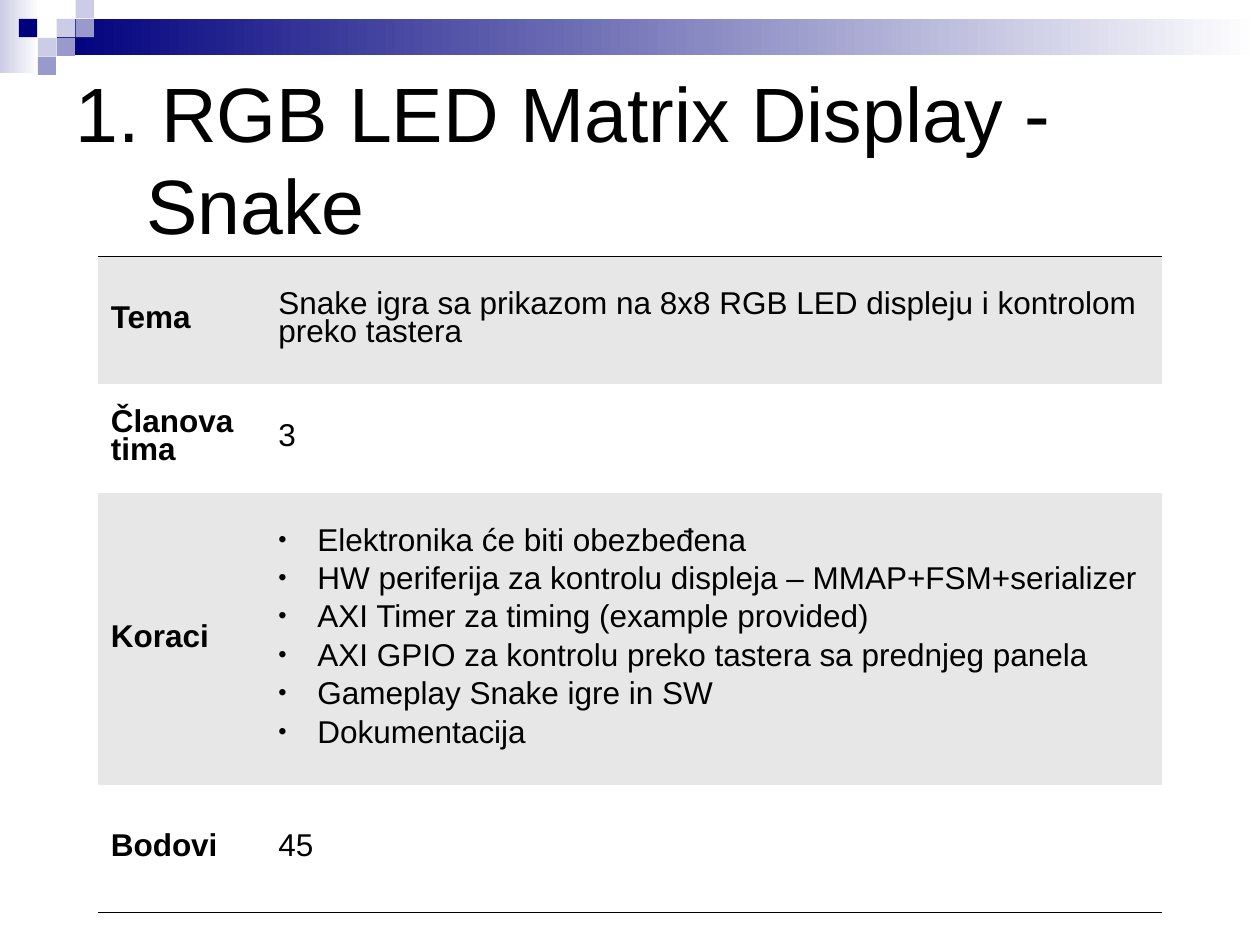
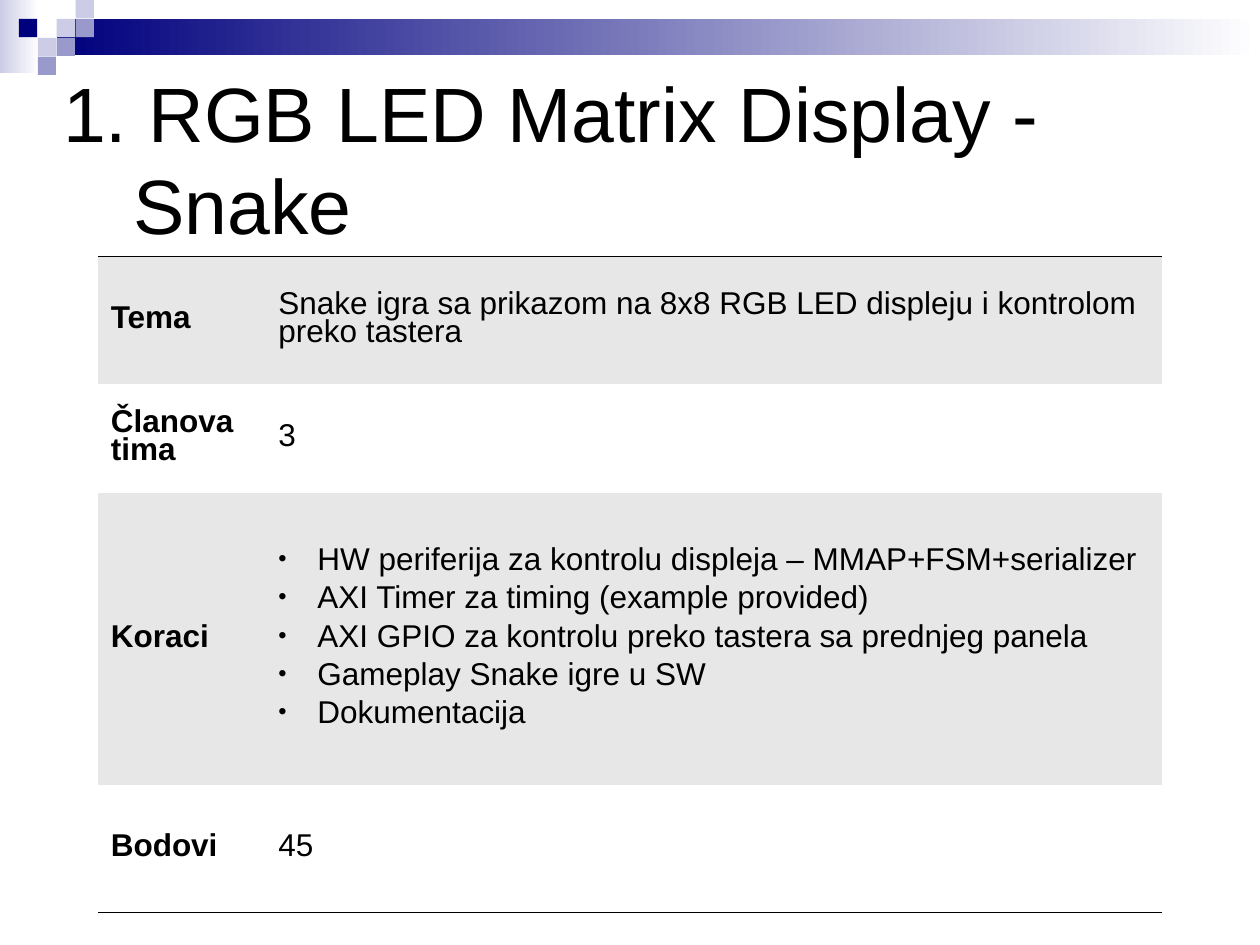
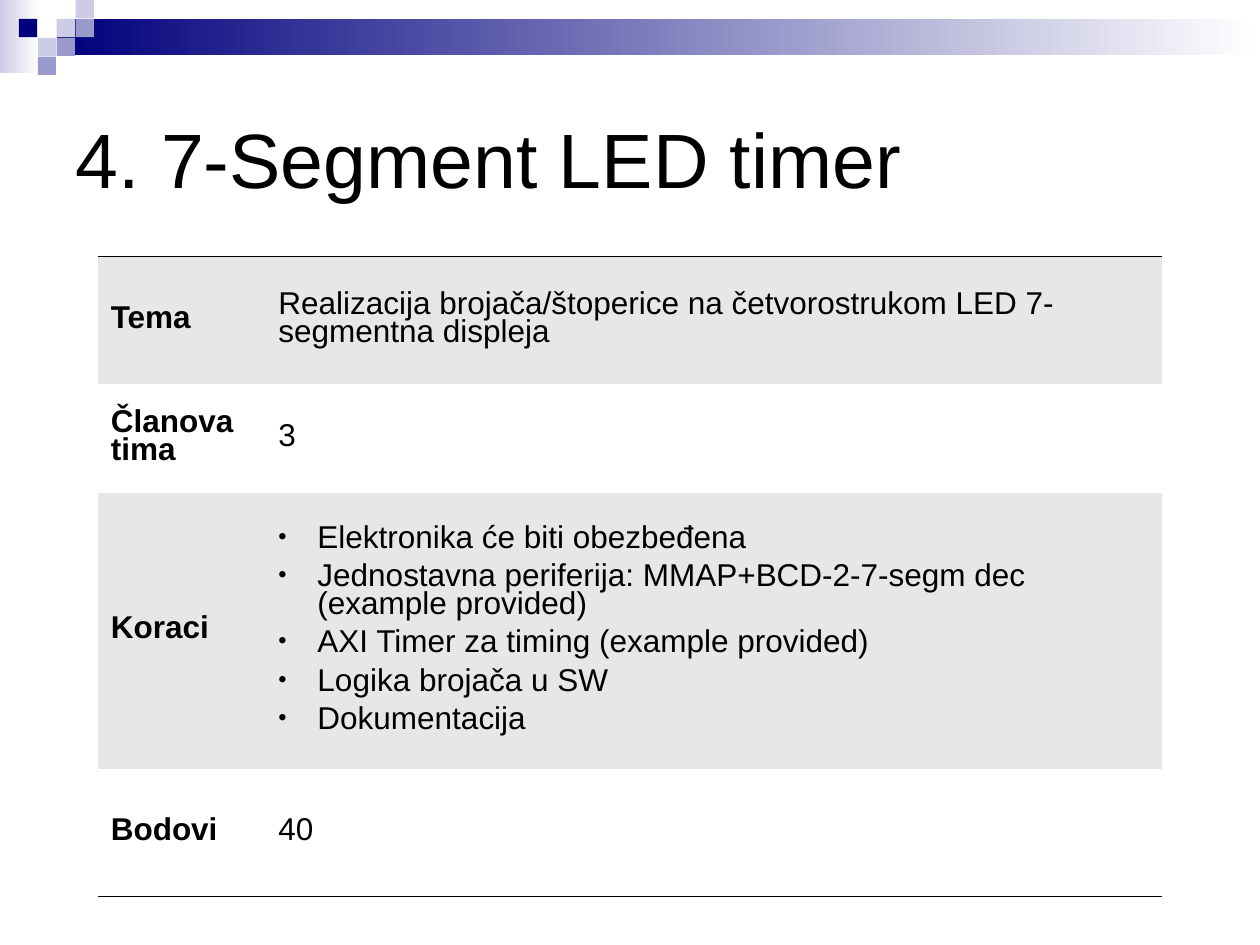
from lxml import etree
from pptx import Presentation
from pptx.dml.color import RGBColor
from pptx.enum.shapes import MSO_SHAPE as Shape
from pptx.enum.text import MSO_ANCHOR as Anchor, MSO_AUTO_SIZE as AutoSize, PP_ALIGN as Align
from pptx.oxml.ns import qn
from pptx.util import Inches, Pt

FONT = "Arial"
BLACK, WHITE, GREY = "000000", "FFFFFF", "E7E7E7"
NAVY, LILAC, LAVENDER = "00007D", "9999CC", "CCCCE6"
NO_STYLE = "{2D5ABB26-0587-4C30-8999-92F81FD0307C}"
HAIRLINE = Pt(0.06)
BARS = [(0, 0, 0.31, 0.58, LAVENDER), (0.45, 0.15, 9.54, 0.29, NAVY)]
SQUARE_STEP, SQUARE_SIDE = 0.15, 0.145
SQUARES = [(3, 1, LAVENDER), (4, 0, LAVENDER), (4, 1, LILAC), (2, 2, LAVENDER),
           (1, 1, NAVY), (3, 2, LILAC), (2, 3, LILAC)]
LABELS = ["Tema", "Članova tima", "Koraci", "Bodovi"]
COLUMN_WIDTHS = [1.33, 7.11]

SNAKE_TITLE = "1. RGB LED Matrix Display - Snake"
SNAKE_TOPIC = "Snake igra sa prikazom na 8x8 RGB LED displeju i kontrolom preko tastera"
ELECTRONICS = "Elektronika će biti obezbeđena"
MATRIX_DRIVER = "HW periferija za kontrolu displeja – MMAP+FSM+serializer"
AXI_TIMER = "AXI Timer za timing (example provided)"
AXI_GPIO = "AXI GPIO za kontrolu preko tastera sa prednjeg panela"
DOCUMENTATION = "Dokumentacija"

PROJECTS = [
    (SNAKE_TITLE, 0.5, SNAKE_TOPIC,
     [ELECTRONICS, MATRIX_DRIVER, AXI_TIMER, AXI_GPIO, "Gameplay Snake igre in SW",
      DOCUMENTATION], "45", 2.32),
    (SNAKE_TITLE, 0.4, SNAKE_TOPIC,
     [MATRIX_DRIVER, AXI_TIMER, AXI_GPIO, "Gameplay Snake igre u SW", DOCUMENTATION],
     "45", 2.32),
    ("4. 7-Segment LED timer", 0.5,
     "Realizacija brojača/štoperice na četvorostrukom LED 7-segmentna displeja",
     [ELECTRONICS, "Jednostavna periferija: MMAP+BCD-2-7-segm dec (example provided)",
      AXI_TIMER, "Logika brojača u SW", DOCUMENTATION], "40", 2.19),
]


def color(hex_code):
    return RGBColor.from_string(hex_code)


def child(parent, tag, **attributes):
    return etree.SubElement(parent, qn(tag), attributes)


class ProjectDeck:
    """Holds the deck style and the slide being built."""

    def __init__(self):
        self.deck = Presentation()
        self.deck.slide_width, self.deck.slide_height = Inches(10), Inches(7.5)
        self.layout = self.deck.slide_layouts.get_by_name("Title Only")
        self.slide = None

    def new_slide(self):
        self.slide = self.deck.slides.add_slide(self.layout)

    def block(self, left, top, width, height, shade, fades=False):
        block = self.slide.shapes.add_shape(
            Shape.RECTANGLE, Inches(left), Inches(top), Inches(width), Inches(height))
        block.shadow.inherit = False
        block.line.fill.background()
        if fades:
            block.fill.gradient()
            block.fill.gradient_angle = 0
            for stop, tone in zip(block.fill.gradient_stops, (shade, WHITE)):
                stop.color.rgb = color(tone)
        else:
            block.fill.solid()
            block.fill.fore_color.rgb = color(shade)
        return block

    def shared_band(self):
        blocks = [self.block(*bar, fades=True) for bar in BARS]
        for column, row, shade in SQUARES:
            blocks.append(self.block(column * SQUARE_STEP, row * SQUARE_STEP,
                                     SQUARE_SIDE, SQUARE_SIDE, shade))
        for order, block in enumerate(blocks):
            block.element.nvSpPr.cNvPr.id = 100 + order
            self.layout.shapes.element.insert(2 + order, block.element)

    def style_runs(self, paragraph, size, bold=False):
        for run in paragraph.runs:
            run.font.name, run.font.size, run.font.bold = FONT, Pt(size), bold
            run.font.color.rgb = color(BLACK)

    def indent(self, paragraph, distance):
        properties = paragraph._p.get_or_add_pPr()
        properties.set("marL", str(Inches(distance)))
        properties.set("indent", str(-Inches(distance)))
        return properties

    def title(self, text, left):
        heading = self.slide.shapes.title
        heading.left, heading.top = Inches(left), Inches(0.5)
        heading.width, heading.height = Inches(9), Inches(1.5)
        frame = heading.text_frame
        frame.text = text
        frame.word_wrap, frame.auto_size = True, AutoSize.NONE
        frame.vertical_anchor = Anchor.MIDDLE
        paragraph = frame.paragraphs[0]
        self.indent(paragraph, 0.56)
        paragraph.alignment, paragraph.space_after = Align.LEFT, Pt(6)
        self.style_runs(paragraph, 44)

    def bullet(self, paragraph):
        properties = self.indent(paragraph, 0.31)
        child(child(properties, "a:buClr"), "a:srgbClr", val=BLACK)
        child(properties, "a:buSzPct", val="75000")
        child(properties, "a:buFont", typeface=FONT)
        child(properties, "a:buChar", char="•")

    def cell(self, cell, lines, shade, bold=False, bulleted=False):
        cell.text_frame.text = "\n".join(lines)
        cell.vertical_anchor = Anchor.MIDDLE
        cell.fill.solid()
        cell.fill.fore_color.rgb = color(shade)
        paragraphs = cell.text_frame.paragraphs
        for paragraph in paragraphs:
            if bulleted:
                self.bullet(paragraph)
            paragraph.line_spacing = 0.79
            self.style_runs(paragraph, 18, bold)
        for paragraph in paragraphs[:-1]:
            paragraph.space_after = Pt(6)

    def rule(self, cell, side):
        edge = etree.Element(qn(side), w=str(HAIRLINE))
        child(child(edge, "a:solidFill"), "a:srgbClr", val=BLACK)
        cell._tc.get_or_add_tcPr().insert(0, edge)

    def project_table(self, topic, steps, points, steps_height):
        heights = [1.02, 0.86, steps_height, 1.01]
        table = self.slide.shapes.add_table(
            len(LABELS), len(COLUMN_WIDTHS), Inches(0.78), Inches(2.03),
            Inches(sum(COLUMN_WIDTHS)), Inches(sum(heights))).table
        table.first_row = table.horz_banding = False
        table._tbl.tblPr.find(qn("a:tableStyleId")).text = NO_STYLE
        for column, width in zip(table.columns, COLUMN_WIDTHS):
            column.width = Inches(width)
        contents = [[topic], ["3"], steps, [points]]
        for index, (label, lines, height) in enumerate(zip(LABELS, contents, heights)):
            table.rows[index].height = Inches(height)
            shade = WHITE if index % 2 else GREY
            self.cell(table.cell(index, 0), [label], shade, bold=True)
            self.cell(table.cell(index, 1), lines, shade, bulleted=lines is steps)
        for column in range(len(COLUMN_WIDTHS)):
            self.rule(table.cell(0, column), "a:lnT")
            self.rule(table.cell(len(LABELS) - 1, column), "a:lnB")


def main():
    builder = ProjectDeck()
    for number, (title, left, *details) in enumerate(PROJECTS):
        builder.new_slide()
        if number == 0:
            builder.shared_band()
        builder.title(title, left)
        builder.project_table(*details)
    builder.deck.save("out.pptx")


if __name__ == "__main__":
    main()
